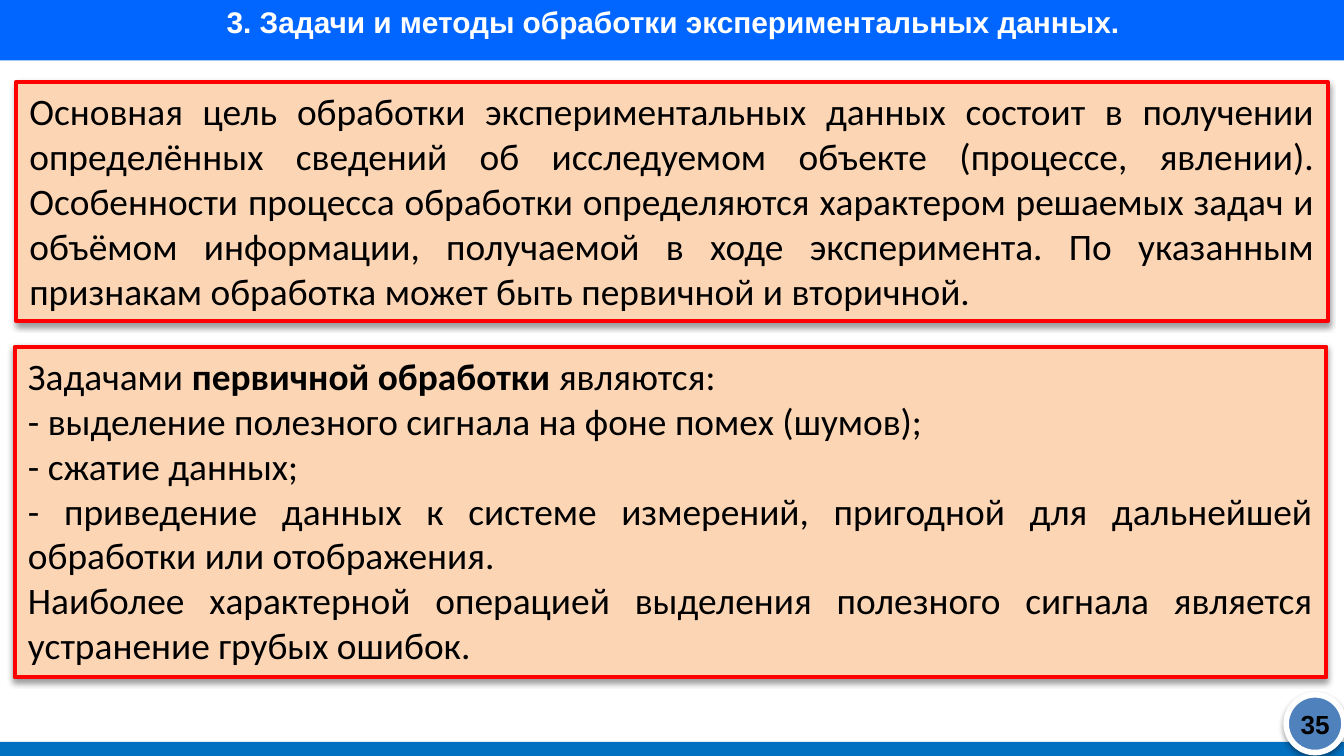
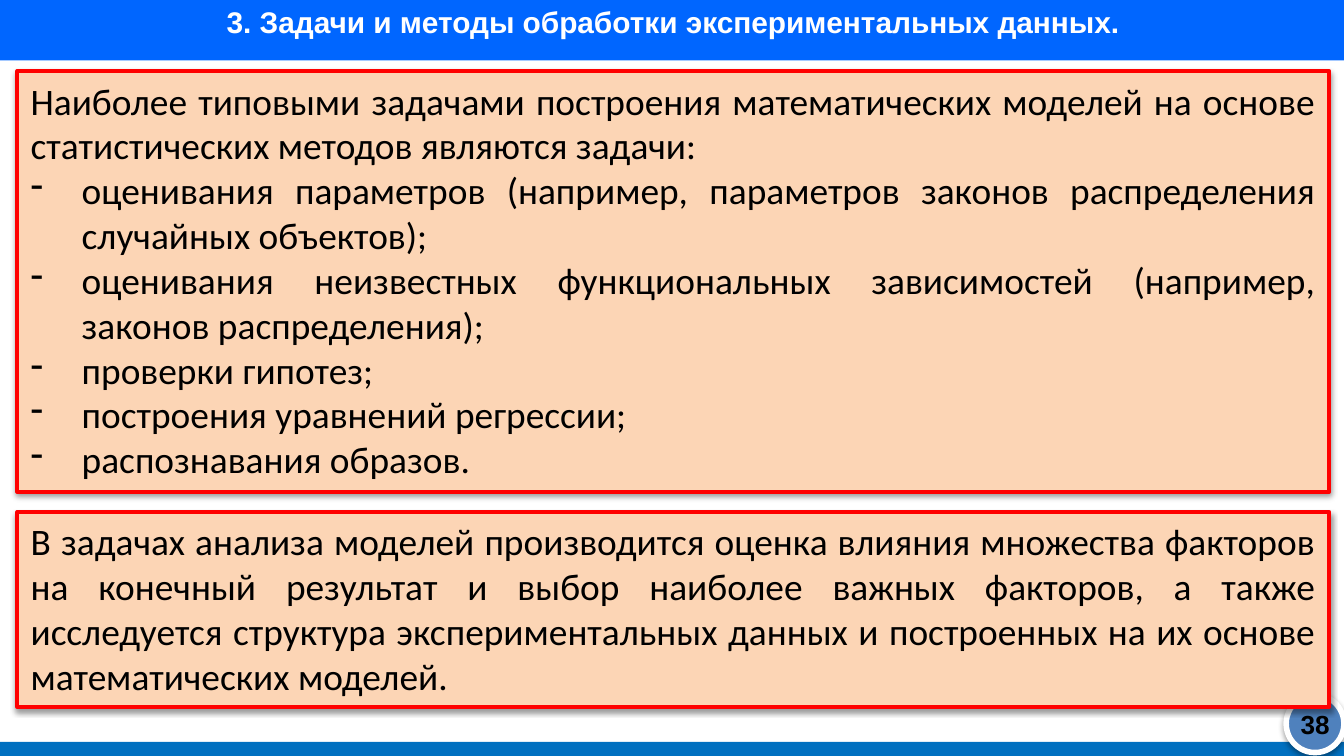
from lxml.etree import SubElement
from pptx import Presentation
from pptx.dml.color import RGBColor
from pptx.enum.shapes import MSO_SHAPE
from pptx.enum.text import MSO_ANCHOR, MSO_AUTO_SIZE, PP_ALIGN
from pptx.oxml.ns import qn
from pptx.util import Inches, Pt

TITLE = "3. Задачи и методы обработки экспериментальных данных."
TITLE_FONT = {"name": "Arial", "size": Pt(16), "bold": True, "color": "FFFFFF"}
NUMBER_FONT = {"name": "Arial", "size": Pt(14), "bold": True, "color": "000000"}
BODY_FONT = {"name": "Calibri", "size": Pt(20), "bold": False, "color": "000000"}
BODY_BOLD = {**BODY_FONT, "bold": True}

SLIDES = [
    ("35", [
        ((0.12, 0.61, 9.76, 1.78), [
            "Основная цель обработки экспериментальных данных состоит в получении определённых сведений "
            "об исследуемом объекте (процессе, явлении). Особенности процесса обработки определяются "
            "характером решаемых задач и объёмом информации, получаемой в ходе эксперимента. "
            "По указанным признакам обработка может быть первичной и вторичной.",
        ], []),
        ((0.11, 2.58, 9.76, 2.46), [
            "Задачами **первичной обработки **являются:",
            "- выделение полезного сигнала на фоне помех (шумов);",
            "- сжатие данных;",
            "- приведение данных к системе измерений, пригодной для дальнейшей обработки или отображения.",
            "Наиболее характерной операцией выделения полезного сигнала является устранение грубых ошибок.",
        ], []),
    ]),
    ("38", [
        ((0.13, 0.53, 9.76, 3.13), [
            "Наиболее типовыми задачами построения математических моделей на основе "
            "статистических методов являются задачи:",
        ], [
            "оценивания параметров (например, параметров законов распределения случайных объектов);",
            "оценивания неизвестных функциональных зависимостей (например, законов распределения);",
            "проверки гипотез;",
            "построения уравнений регрессии;",
            "распознавания образов.",
        ]),
        ((0.13, 3.81, 9.76, 1.45), [
            "В задачах анализа моделей производится оценка влияния множества факторов на конечный "
            "результат и выбор наиболее важных факторов, а также исследуется структура "
            "экспериментальных данных и построенных на их основе математических моделей.",
        ], []),
    ]),
]


def add_block(s, kind, at, fill, line=None, width=0):
    sp = s.shapes.add_shape(kind, *map(Inches, at))
    sp.fill.solid()
    sp.fill.fore_color.rgb = RGBColor.from_string(fill)
    sp.shadow.inherit = False
    if line is None:
        sp.line.fill.background()
        return sp
    sp.line.color.rgb = RGBColor.from_string(line)
    sp.line.width = Pt(width)
    effects = sp.element.spPr.find(qn("a:effectLst"))
    shadow = SubElement(effects, qn("a:outerShdw"), blurRad="40000", dist="20000",
                        dir="5400000", rotWithShape="0")
    color = SubElement(shadow, qn("a:srgbClr"), val="000000")
    SubElement(color, qn("a:alpha"), val="38000")
    return sp


def write(p, text, font, align):
    p.alignment = align
    r = p.add_run()
    r.text = text
    for key, value in font.items():
        if key == "color":
            r.font.color.rgb = RGBColor.from_string(value)
        else:
            setattr(r.font, key, value)


prs = Presentation()
prs.slide_width = Inches(10)
prs.slide_height = prs.slide_width * 9 // 16

for number, boxes in SLIDES:
    s = prs.slides.add_slide(prs.slide_layouts[5])

    title = s.shapes.title
    title.left, title.top, title.width, title.height = map(Inches, (0.77, -0.02, 8.48, 0.47))
    tf = title.text_frame
    tf.auto_size = MSO_AUTO_SIZE.NONE
    tf.vertical_anchor = MSO_ANCHOR.TOP
    write(tf.paragraphs[0], TITLE, TITLE_FONT, PP_ALIGN.CENTER)
    band = add_block(s, MSO_SHAPE.RECTANGLE, (0, 0, 10, 0.45), "0066FF")
    title.element.addprevious(band.element)

    add_block(s, MSO_SHAPE.RECTANGLE, (0, 5.52, 10, 0.11), "0070C0")
    add_block(s, MSO_SHAPE.OVAL, (9.57, 5.17, 0.43, 0.43), "4F81BD", "FFFFFF", 3)
    tf = s.shapes.add_textbox(*map(Inches, (9.57, 5.24, 0.43, 0.3))).text_frame
    tf.word_wrap = True
    tf.margin_left = tf.margin_right = 0
    tf.vertical_anchor = MSO_ANCHOR.MIDDLE
    write(tf.paragraphs[0], number, NUMBER_FONT, PP_ALIGN.CENTER)

    for at, paragraphs, bullets in boxes:
        tf = add_block(s, MSO_SHAPE.RECTANGLE, at, "FCD5B5", "FF0000", 2.25).text_frame
        tf.word_wrap = True
        tf.auto_size = MSO_AUTO_SIZE.SHAPE_TO_FIT_TEXT
        tf.vertical_anchor = MSO_ANCHOR.TOP
        for i, text in enumerate(paragraphs + bullets):
            p = tf.add_paragraph() if i else tf.paragraphs[0]
            for j, part in enumerate(text.split("**")):
                write(p, part, BODY_BOLD if j % 2 else BODY_FONT, PP_ALIGN.JUSTIFY)
            if i >= len(paragraphs):
                pPr = p._p.get_or_add_pPr()
                pPr.set("marL", str(Inches(0.38)))
                pPr.set("indent", str(-Inches(0.38)))
                SubElement(pPr, qn("a:buFontTx"))
                SubElement(pPr, qn("a:buChar"), char="-")

prs.save("out.pptx")
